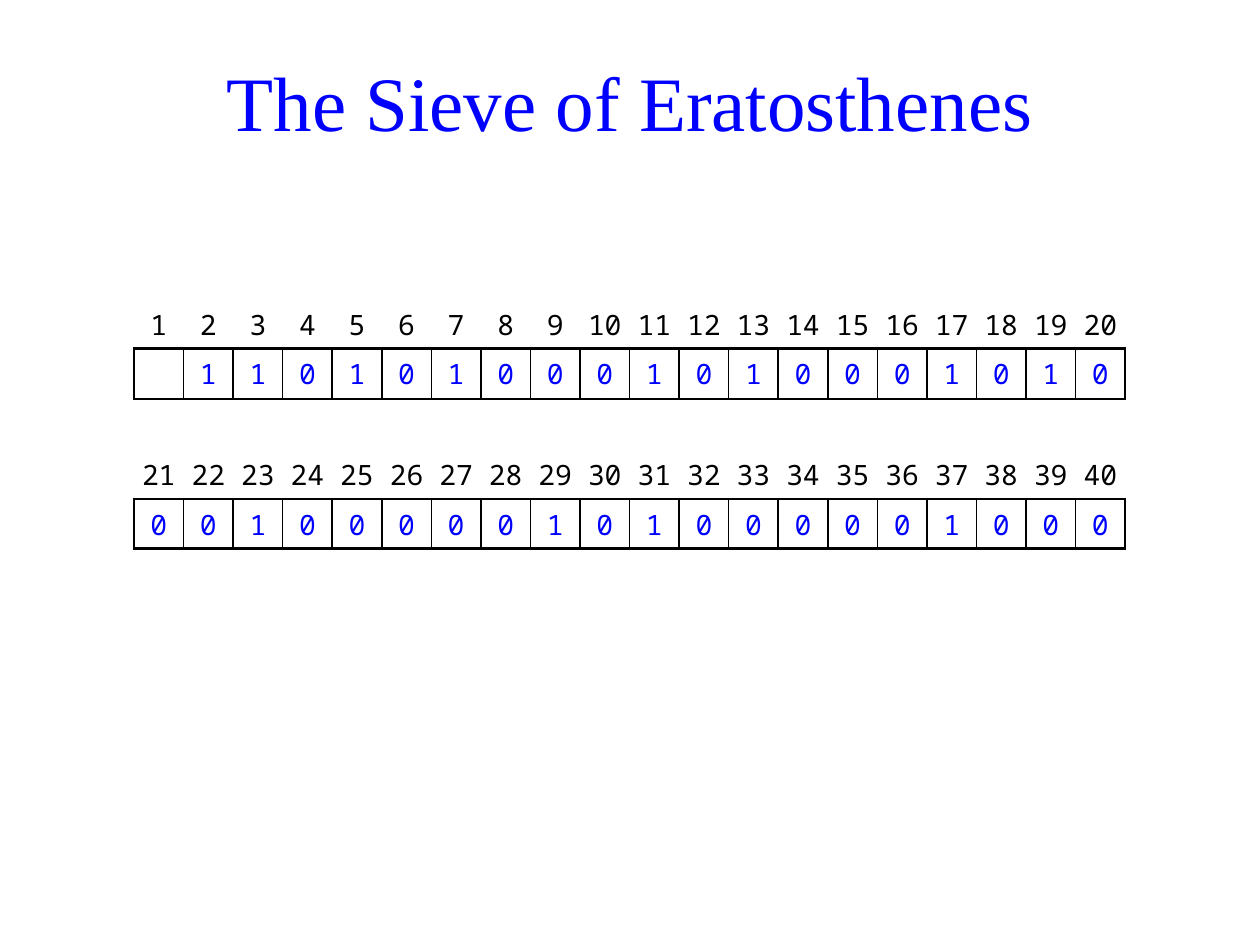
from dataclasses import dataclass

from lxml.etree import SubElement
from pptx import Presentation
from pptx.dml.color import RGBColor
from pptx.enum.text import MSO_ANCHOR, PP_ALIGN
from pptx.oxml.ns import qn
from pptx.util import Emu, Pt

PIXEL = 914400 // 126
BLUE, BLACK = "0000FF", "000000"
COLUMNS = 20
THICK, THIN = 1.5, 1
NO_STYLE = "{2D5ABB26-0587-4C30-8999-92F81FD0307C}"


@dataclass
class SieveRow:
    """One row of the table: its texts, their colour and whether it is boxed."""
    texts: list[str]
    color: str = BLACK
    boxed: bool = False


def px(pixels: int) -> Emu:
    return Emu(pixels * PIXEL)


def rgb(color: str) -> RGBColor:
    return RGBColor.from_string(color)


def write(text_frame, text: str, *, size: int, font: str, color: str) -> None:
    paragraph = text_frame.paragraphs[0]
    paragraph.alignment = PP_ALIGN.CENTER
    run = paragraph.add_run()
    run.text = text
    run.font.size = Pt(size)
    run.font.name = font
    run.font.color.rgb = rgb(color)


def sieve(limit: int) -> list[str]:
    """Return the flags for 1 to limit; 1 itself has no flag."""
    flags = ["", ""] + ["1"] * (limit - 1)
    for number in range(2, limit + 1):
        if flags[number] == "1":
            for multiple in range(2 * number, limit + 1, number):
                flags[multiple] = "0"
    return flags[1:]


def add_borders(cell, widths: dict[str, float]) -> None:
    properties = cell._tc.get_or_add_tcPr()
    for tag, width in widths.items():
        line = SubElement(properties, qn(f"a:{tag}"), w=str(Pt(width)))
        fill = SubElement(line, qn("a:solidFill"))
        SubElement(fill, qn("a:srgbClr"), val=BLACK)


def add_title(slide, text: str) -> None:
    title = slide.shapes.add_textbox(px(59), px(26), px(1142), px(149))
    title.text_frame.word_wrap = True
    title.text_frame.vertical_anchor = MSO_ANCHOR.MIDDLE
    write(title.text_frame, text, size=44, font="Times New Roman", color=BLUE)


def add_sieve_table(slide, rows: list[SieveRow]) -> None:
    frame = slide.shapes.add_table(
        len(rows), COLUMNS, px(134), px(299), px(992), px(248))
    table = frame.table
    table.first_row = table.horz_banding = False
    table._tbl.tblPr.find(qn("a:tableStyleId")).text = NO_STYLE
    for row_index, row in enumerate(rows):
        for column, text in enumerate(row.texts):
            cell = table.cell(row_index, column)
            cell.margin_left = cell.margin_right = 0
            cell.vertical_anchor = MSO_ANCHOR.MIDDLE
            write(cell.text_frame, text, size=16, font="Noto Sans Mono", color=row.color)
            if row.boxed:
                add_borders(cell, {
                    "lnL": THICK if column == 0 else THIN,
                    "lnR": THICK if column == COLUMNS - 1 else THIN,
                    "lnT": THICK,
                    "lnB": THICK,
                })
            cell.fill.background()


# Slide
presentation = Presentation()
presentation.slide_width, presentation.slide_height = px(1260), px(945)
slide = presentation.slides.add_slide(presentation.slide_layouts[6])

# Title
add_title(slide, "The Sieve of Eratosthenes")

# Numbers above their flags, with a spacer row between the two halves
flags = sieve(2 * COLUMNS)
sieve_rows: list[SieveRow] = []
for start in (0, COLUMNS):
    if sieve_rows:
        sieve_rows.append(SieveRow([""] * COLUMNS))
    numbers = [str(start + offset + 1) for offset in range(COLUMNS)]
    sieve_rows.append(SieveRow(numbers))
    sieve_rows.append(SieveRow(flags[start:start + COLUMNS], BLUE, boxed=True))
add_sieve_table(slide, sieve_rows)

presentation.save("out.pptx")
